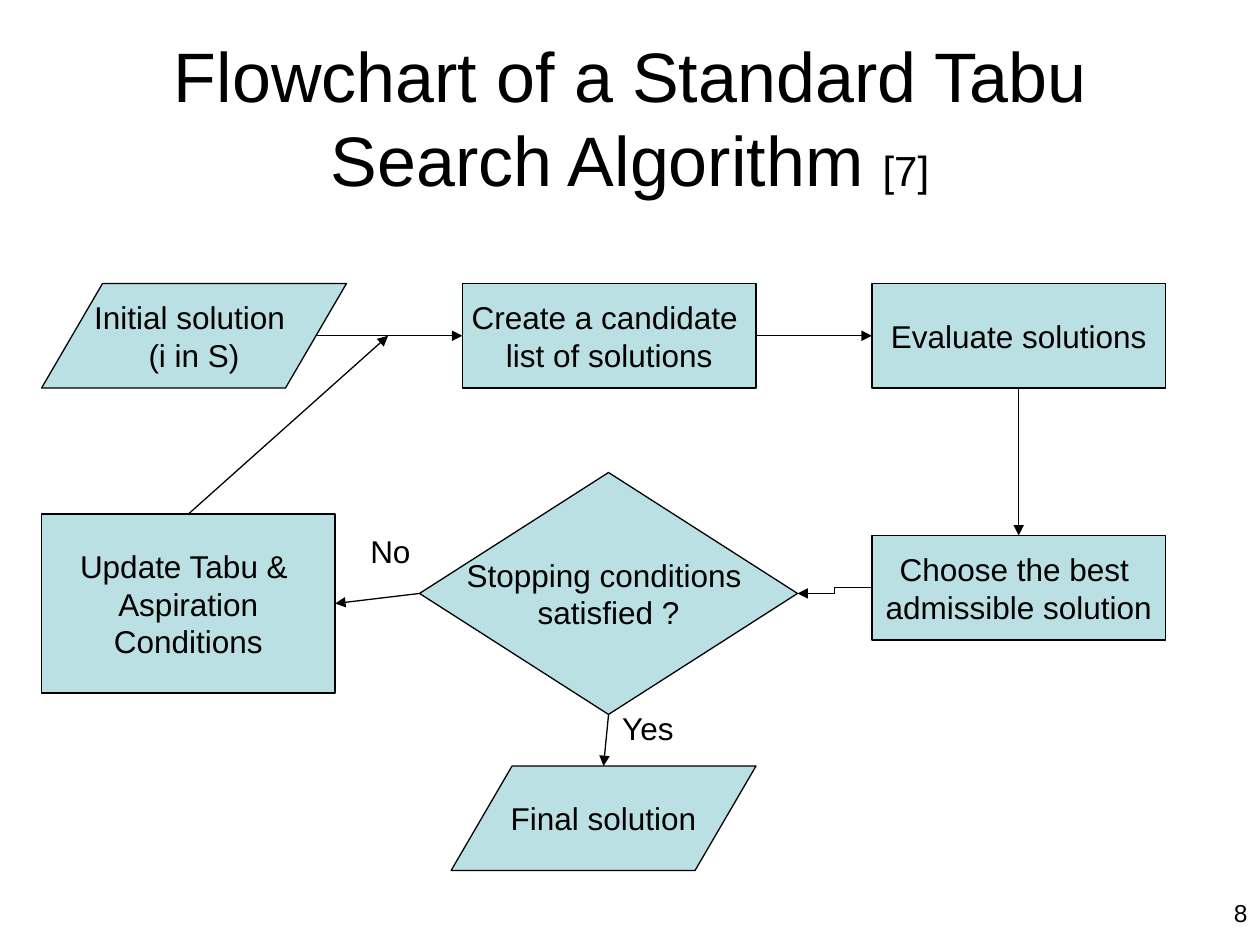
from dataclasses import dataclass

from lxml import etree
from pptx import Presentation
from pptx import util as u
from pptx.dml.color import RGBColor
from pptx.enum import shapes, text
from pptx.oxml.ns import qn

Inches = u.Inches
SHAPE, LINK, ALIGN = shapes.MSO_SHAPE, shapes.MSO_CONNECTOR, text.PP_ALIGN
TOP, LEFT, BOTTOM, RIGHT = range(4)


@dataclass(frozen=True)
class Theme:
    font: str = "Arial"
    ink: RGBColor = RGBColor(0x00, 0x00, 0x00)
    fill: RGBColor = RGBColor(0xBB, 0xE0, 0xE3)
    title: int = 40
    citation: int = 24
    body: int = 18
    number: int = 14
    line: float = 0.75


THEME = Theme()


def add_run(p, words, size=THEME.body, color=THEME.ink):
    r = p.add_run()
    r.text = words
    r.font.name, r.font.size, r.font.color.rgb = THEME.font, u.Pt(size), color


def write(tf, words, size=THEME.body, align=ALIGN.LEFT,
          anchor=text.MSO_ANCHOR.TOP, wrap=False):
    """Write each line of words as a paragraph."""
    tf.word_wrap, tf.vertical_anchor = wrap, anchor
    for i, line in enumerate(words.split("\n")):
        p = tf.add_paragraph() if i else tf.paragraphs[0]
        p.alignment = align
        add_run(p, line, size)


def add_label(slide, words, box, **fmt):
    sp = slide.shapes.add_textbox(*map(Inches, box))
    write(sp.text_frame, words, **fmt)


def add_node(slide, kind, words, box):
    sp = slide.shapes.add_shape(kind, *map(Inches, box))
    sp.shadow.inherit = False
    sp.fill.solid()
    sp.fill.fore_color.rgb = THEME.fill
    sp.line.color.rgb, sp.line.width = THEME.ink, u.Pt(THEME.line)
    write(sp.text_frame, words, align=ALIGN.CENTER, anchor=text.MSO_ANCHOR.MIDDLE)
    return sp


def add_arrow(slide, start, end, kind=LINK.STRAIGHT):
    """Each end is a (shape, side) pair to join or an (x, y) point."""
    points = [e if isinstance(e[0], int) else (0, 0) for e in (start, end)]
    cxn = slide.shapes.add_connector(kind, *points[0], *points[1])
    for e, connect in ((start, cxn.begin_connect), (end, cxn.end_connect)):
        if not isinstance(e[0], int):
            connect(*e)
    cxn.line.color.rgb, cxn.line.width = THEME.ink, u.Pt(THEME.line)
    etree.SubElement(cxn.line._get_or_add_ln(), qn("a:tailEnd"), type="triangle")
    etree.SubElement(cxn._element.spPr, qn("a:effectLst"))


def add_title(slide, box):
    sp = slide.shapes.title
    sp.left, sp.top, sp.width, sp.height = map(Inches, box)
    tf = sp.text_frame
    tf.auto_size = text.MSO_AUTO_SIZE.NONE
    write(tf, "Flowchart of a Standard Tabu Search Algorithm ", size=THEME.title,
          align=ALIGN.CENTER, anchor=text.MSO_ANCHOR.MIDDLE, wrap=True)
    add_run(tf.paragraphs[0], "[7]", THEME.citation)


def add_flowchart(slide, box):
    x, y, w, h = box
    node_w, node_h, data_w = 2.33, 0.83, 2.42
    middle, right = x + 3.34, x + w - node_w
    lower = y + 2

    # Steps
    initial = add_node(slide, SHAPE.FLOWCHART_DATA, "Initial solution \n(i in S)",
                       (x, y, data_w, node_h))
    candidates = add_node(slide, SHAPE.RECTANGLE,
                          "Create a candidate \nlist of solutions",
                          (middle, y, node_w, node_h))
    evaluate = add_node(slide, SHAPE.RECTANGLE, "Evaluate solutions",
                        (right, y, node_w, node_h))
    choose = add_node(slide, SHAPE.RECTANGLE, "Choose the best \nadmissible solution",
                      (right, lower, node_w, node_h))
    stop = add_node(slide, SHAPE.DIAMOND, "Stopping conditions \nsatisfied ?",
                    (x + 3, y + 1.5, 3, 1.92))
    update = add_node(slide, SHAPE.RECTANGLE,
                      "Update Tabu & \nAspiration\nConditions",
                      (x, y + 1.83, node_w, 1.42))
    final = add_node(slide, SHAPE.FLOWCHART_DATA, "Final solution",
                     (x + 3.25, y + h - node_h, data_w, node_h))

    # Arrows; the slanted side of a data shape is met at 90% of its width
    flow_y = initial.top + initial.height // 2
    add_arrow(slide, (initial.left + initial.width * 9 // 10, flow_y),
              (candidates, LEFT))
    add_arrow(slide, (candidates, RIGHT), (evaluate, LEFT))
    add_arrow(slide, (evaluate, BOTTOM), (choose, TOP))
    add_arrow(slide, (choose, LEFT), (stop, RIGHT), LINK.ELBOW)
    add_arrow(slide, (stop, BOTTOM), (final.left + final.width // 2, final.top))
    add_arrow(slide, (stop, LEFT), (update, RIGHT))
    add_arrow(slide, (update, TOP), (int(Inches(x + 2.75)), flow_y))

    # Branch labels
    add_label(slide, "No", (x + 2.51, y + 1.92, 0.52, 0.4))
    add_label(slide, "Yes", (x + 4.51, y + 3.33, 0.63, 0.4))


def main():
    prs = Presentation()
    prs.slide_width, prs.slide_height = Inches(10), Inches(7.5)
    slide = prs.slides.add_slide(prs.slide_layouts[5])
    add_title(slide, (0.5, 0.3, 9, 1.25))
    add_flowchart(slide, (0.33, 2.25, 8.92, 4.66))
    add_label(slide, "8", (8.83, 7.08, 1.17, 0.27), size=THEME.number,
              align=ALIGN.RIGHT, wrap=True)
    prs.save("out.pptx")


if __name__ == "__main__":
    main()
